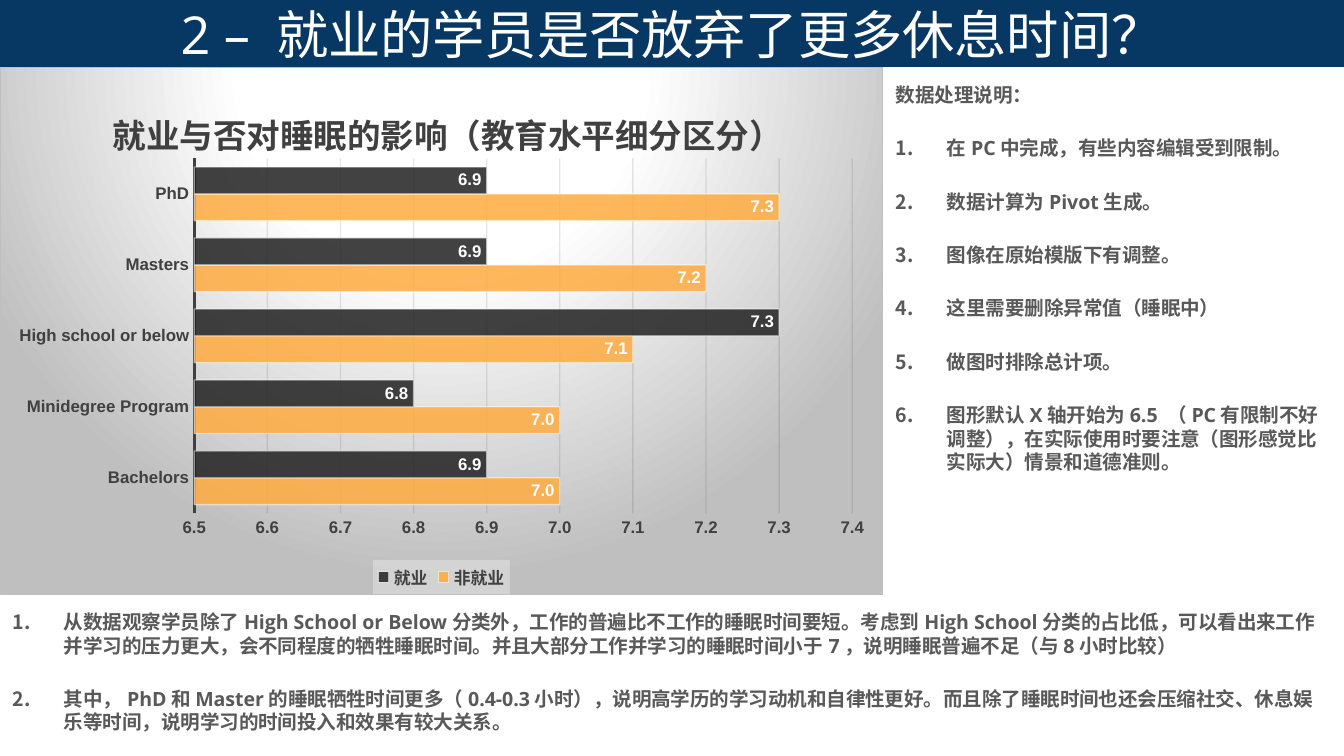
from lxml import etree
from pptx import Presentation
from pptx import util as u
from pptx.chart.data import CategoryChartData
from pptx.dml.color import RGBColor
from pptx.enum import chart as ch, shapes, text
from pptx.oxml import parse_xml
from pptx.oxml.ns import qn

PX = 914400 / 134.4
W, H = 1344, 756
INSET, INDENT = 13, 51
FONT, CHART_FONT = "Open Sans", "Arial"
COLORS = {"navy": "073763", "white": "FFFFFF", "body": "595959", "dark": "404040",
          "employed": "212121", "unemployed": "FFAB40", "grid": "0D0D0D",
          "silver": "BFBFBF", "legend": "F2F2F2"}
NS = ('xmlns:a="http://schemas.openxmlformats.org/drawingml/2006/main" '
      'xmlns:c="http://schemas.openxmlformats.org/drawingml/2006/chart"')

TITLE = "2 – 就业的学员是否放弃了更多休息时间？"
CHART_TITLE = "就业与否对睡眠的影响（教育水平细分区分）"
CATEGORIES = ["Bachelors", "Minidegree Program", "High school or below", "Masters", "PhD"]
SERIES = [("非就业", (7.0, 7.0, 7.1, 7.2, 7.3), "unemployed"),
          ("就业", (6.9, 6.8, 7.3, 6.9, 6.9), "employed")]
NOTES_HEAD = "数据处理说明："
NOTES = ["在PC中完成，有些内容编辑受到限制。",
         "数据计算为Pivot生成。",
         "图像在原始模版下有调整。",
         "这里需要删除异常值（睡眠中）",
         "做图时排除总计项。",
         "图形默认X轴开始为6.5 （PC有限制不好调整），在实际使用时要注意"
         "（图形感觉比实际大）情景和道德准则。"]
FINDINGS = ["从数据观察学员除了High School or Below分类外，工作的普遍比不工作的睡眠时间要短。"
            "考虑到High School分类的占比低，可以看出来工作并学习的压力更大，会不同程度的牺牲睡眠时间。"
            "并且大部分工作并学习的睡眠时间小于7，说明睡眠普遍不足（与8小时比较）",
            "其中，PhD和Master的睡眠牺牲时间更多（0.4-0.3小时），说明高学历的学习动机和自律性更好。"
            "而且除了睡眠时间也还会压缩社交、休息娱乐等时间，说明学习的时间投入和效果有较大关系。"]


def px(n):
    """Turn pixels into EMU."""
    return u.Emu(round(n * PX))


def rgb(name):
    """Look up a named colour."""
    return RGBColor.from_string(COLORS[name])


def set_font(font, name, size, color, bold):
    """Set the look of a font."""
    font.name, font.size, font.bold = name, u.Pt(size), bold
    font.color.rgb = rgb(color)


def set_alpha(fill_parent, percent):
    """Make the solid colour inside an element partly transparent."""
    color = next(fill_parent.iter(qn("a:srgbClr")))
    etree.SubElement(color, qn("a:alpha")).set("val", str(percent * 1000))


def add_panel(s, box, fill, line=None):
    """Add a filled text rectangle and return its text frame."""
    sp = s.shapes.add_shape(shapes.MSO_SHAPE.RECTANGLE, *map(px, box))
    sp.shadow.inherit = False
    sp.fill.solid()
    sp.fill.fore_color.rgb = rgb(fill)
    if line:
        sp.line.color.rgb, sp.line.width = rgb(line), u.Pt(0.75)
    else:
        sp.line.fill.background()
    tf = sp.text_frame
    tf.word_wrap = True
    tf.margin_left = tf.margin_right = tf.margin_top = tf.margin_bottom = px(INSET)
    return tf


def add_title(s, box):
    """Add the title band."""
    tf = add_panel(s, box, "navy")
    tf.vertical_anchor = text.MSO_ANCHOR.MIDDLE
    p = tf.paragraphs[0]
    p.text, p.alignment = TITLE, text.PP_ALIGN.CENTER
    set_font(p.font, FONT, 28, "white", False)


def add_list(s, box, items, head=None):
    """Add a numbered list, with an optional unnumbered heading."""
    tf = add_panel(s, box, "white", "white")
    tf.vertical_anchor = text.MSO_ANCHOR.TOP
    lines = ([head] if head else []) + items
    for i, line in enumerate(lines):
        p = tf.add_paragraph() if i else tf.paragraphs[0]
        p.text, p.alignment, p.space_after = line, text.PP_ALIGN.LEFT, u.Pt(16)
        set_font(p.font, FONT, 10.5, "body", True)
        if line != head:
            pPr = p._p.get_or_add_pPr()
            pPr.set("marL", str(px(INDENT)))
            pPr.set("indent", str(-px(INDENT)))
            bullet = parse_xml(f'<a:buAutoNum {NS} type="arabicPeriod"/>')
            pPr.insert_element_before(bullet, "a:tabLst", "a:defRPr", "a:extLst")


def manual_layout(box, frame, inner=False):
    """Build a chart layout from a box in pixels relative to the chart."""
    keys = "xywh"[:len(box)]
    parts = '<c:layoutTarget val="inner"/>' if inner else ""
    parts += "".join(f'<c:{k}Mode val="edge"/>' for k in keys[:2])
    parts += "".join(f'<c:{k} val="{v / frame[i % 2]:.4f}"/>'
                     for i, (k, v) in enumerate(zip(keys, box)))
    return parse_xml(f'<c:layout {NS}><c:manualLayout>{parts}</c:manualLayout></c:layout>')


def replace_layout(el, layout, after=None):
    """Put a layout in a chart element, after a given child or first."""
    for old in el.findall(qn("c:layout")):
        el.remove(old)
    if after is None:
        el.insert(0, layout)
    else:
        after.addnext(layout)


def style_axes(chart):
    """Set scale, lines and fonts of both axes."""
    cat, val = chart.category_axis, chart.value_axis
    for axis in (cat, val):
        axis.major_tick_mark = axis.minor_tick_mark = ch.XL_TICK_MARK.NONE
        set_font(axis.tick_labels.font, CHART_FONT, 9, "dark", True)
    cat.format.line.color.rgb, cat.format.line.width = rgb("dark"), u.Pt(1.5)
    val.minimum_scale, val.maximum_scale, val.major_unit = 6.5, 7.4, 0.1
    val.tick_labels.number_format, val.tick_labels.number_format_is_linked = "0.0", False
    val.format.line.fill.background()
    grid = val.major_gridlines
    grid.format.line.color.rgb, grid.format.line.width = rgb("grid"), u.Pt(0.75)
    set_alpha(val._element.find(qn("c:majorGridlines")), 10)


def style_series(chart):
    """Set bar colours and value labels."""
    plot = chart.plots[0]
    plot.gap_width, plot.overlap, plot.vary_by_categories = 65, 0, False
    for ser, (_, _, color) in zip(plot.series, SERIES):
        ser.invert_if_negative = False
        ser.format.fill.solid()
        ser.format.fill.fore_color.rgb = rgb(color)
        ser.format.line.color.rgb, ser.format.line.width = rgb("white"), u.Pt(0.75)
        spPr = ser._element.find(qn("c:spPr"))
        set_alpha(spPr, 85)
        set_alpha(spPr.find(qn("a:ln")), 50)
        labels = ser.data_labels
        labels.show_value, labels.position = True, ch.XL_LABEL_POSITION.INSIDE_END
        labels.number_format, labels.number_format_is_linked = "0.0", False
        set_font(labels.font, CHART_FONT, 9, "white", True)


def add_sleep_chart(s, box):
    """Add the clustered bar chart on its radial gradient."""
    data = CategoryChartData(number_format="0.0")
    data.categories = CATEGORIES
    for name, values, _ in SERIES:
        data.add_series(name, values)
    chart = s.shapes.add_chart(ch.XL_CHART_TYPE.BAR_CLUSTERED, *map(px, box), data).chart
    set_font(chart.font, CHART_FONT, 10, "dark", True)
    frame = box[2:]

    tf = chart.chart_title.text_frame
    tf.text = CHART_TITLE
    set_font(tf.paragraphs[0].font, CHART_FONT, 18, "dark", True)
    chart.chart_title.include_in_layout = False
    title = chart.chart_title._element
    replace_layout(title, manual_layout((106, 32), frame), title.find(qn("c:tx")))

    style_axes(chart)
    style_series(chart)
    plot_area = chart.plots[0]._element.getparent()
    replace_layout(plot_area, manual_layout((194, 91, 659, 356), frame, True))

    chart.has_legend = True
    legend = chart.legend
    legend.position, legend.include_in_layout = ch.XL_LEGEND_POSITION.BOTTOM, False
    set_font(legend.font, CHART_FONT, 9, "dark", True)
    legend._element.find(qn("c:txPr")).addprevious(parse_xml(
        f'<c:spPr {NS}><a:solidFill><a:srgbClr val="{COLORS["legend"]}">'
        '<a:alpha val="39000"/></a:srgbClr></a:solidFill></c:spPr>'))

    stops = "".join(f'<a:gs pos="{pos}000"><a:srgbClr val="{COLORS[c]}"/></a:gs>'
                    for pos, c in ((0, "white"), (39, "white"), (100, "silver")))
    chart._chartSpace.find(qn("c:chart")).addnext(parse_xml(
        f'<c:spPr {NS}><a:gradFill><a:gsLst>{stops}</a:gsLst><a:path path="circle">'
        '<a:fillToRect l="50000" t="-80000" r="50000" b="180000"/></a:path></a:gradFill>'
        f'<a:ln w="9525"><a:solidFill><a:srgbClr val="{COLORS["silver"]}"/></a:solidFill>'
        '</a:ln></c:spPr>'))


prs = Presentation()
prs.slide_width, prs.slide_height = px(W), px(H)
s = prs.slides.add_slide(prs.slide_layouts[6])
add_list(s, (0, 597, W, 159), FINDINGS)
add_title(s, (0, 0, W, 67))
add_list(s, (883, 70, 461, 530), NOTES, NOTES_HEAD)
add_sleep_chart(s, (0, 67, 883, 528))
prs.save("out.pptx")
